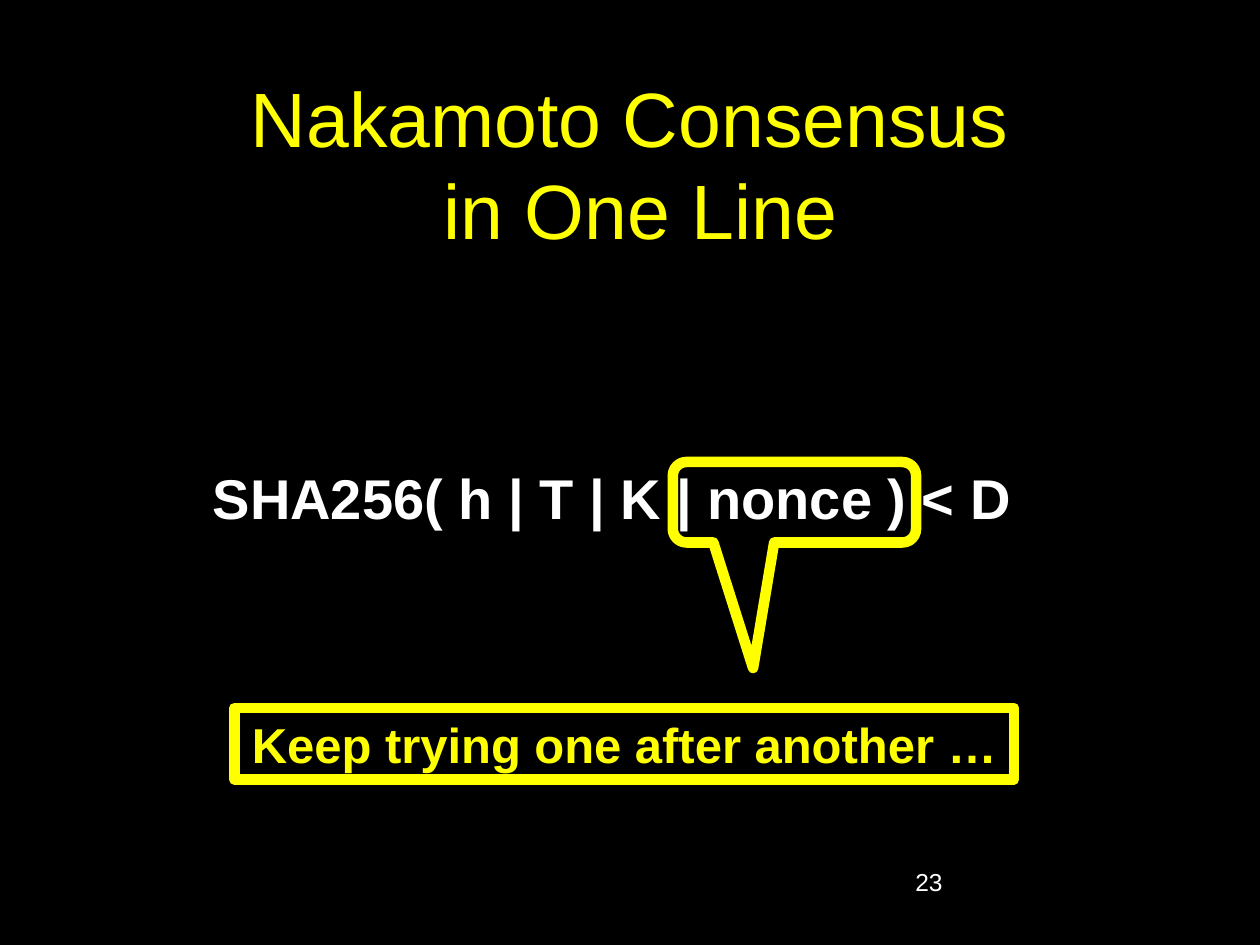
from pptx import Presentation
from pptx import util as u
from pptx.dml.color import RGBColor
from pptx.enum import shapes, text

BLACK = RGBColor(0, 0, 0)
WHITE = RGBColor(255, 255, 255)
YELLOW = RGBColor(255, 255, 0)

LEFT, CENTER = text.PP_ALIGN.LEFT, text.PP_ALIGN.CENTER
TOP, MIDDLE = text.MSO_ANCHOR.TOP, text.MSO_ANCHOR.MIDDLE
FIT, FIXED = text.MSO_AUTO_SIZE.SHAPE_TO_FIT_TEXT, text.MSO_AUTO_SIZE.NONE
BORDER = 6

# Content: wording, place in points, font, frame and alignment
TEXTS = [
    dict(words="Nakamoto Consensus\v in One Line", place=(54, 48, 612, 90),
         font=dict(size=u.Pt(44), bold=False), color=YELLOW, align=CENTER,
         frame=dict(word_wrap=True, auto_size=FIXED, vertical_anchor=MIDDLE)),
    dict(words="23", place=(516, 492, 150, 36),
         font=dict(size=u.Pt(14), bold=False), color=WHITE, align=LEFT,
         frame=dict(word_wrap=True, auto_size=FIXED, vertical_anchor=TOP)),
    dict(words="SHA256( h | T | K | nonce ) < D", place=(114.5, 261.5, 484, 46),
         font=dict(size=u.Pt(32), bold=True), color=WHITE, align=LEFT, fill=BLACK,
         frame=dict(word_wrap=False, auto_size=FIT, vertical_anchor=TOP)),
    dict(words="Keep trying one after another …", place=(134, 404.5, 445.5, 41),
         font=dict(size=u.Pt(28), bold=True), color=YELLOW, align=CENTER, fill=BLACK,
         border=YELLOW,
         frame=dict(word_wrap=False, auto_size=FIT, vertical_anchor=TOP)),
]
CALLOUT_PLACE = (384.5, 264, 139, 46)
CALLOUT_SHAPE = (-0.17, 2.06, 0.17)  # tip x, tip y, corner radius


def points(place):
    return [u.Pt(value) for value in place]


def outline(shape, color):
    shape.line.color.rgb = color
    shape.line.width = u.Pt(BORDER)


def add_text(page, item):
    box = page.shapes.add_textbox(*points(item["place"]))
    for name, value in item["frame"].items():
        setattr(box.text_frame, name, value)
    if "fill" in item:
        box.fill.solid()
        box.fill.fore_color.rgb = item["fill"]
    if "border" in item:
        outline(box, item["border"])
    para = box.text_frame.paragraphs[0]
    para.text = item["words"]
    para.alignment = item["align"]
    for span in para.runs:
        span.font.name = "Arial"
        span.font.color.rgb = item["color"]
        for name, value in item["font"].items():
            setattr(span.font, name, value)


def add_callout(page):
    callout = page.shapes.add_shape(
        shapes.MSO_SHAPE.ROUNDED_RECTANGULAR_CALLOUT, *points(CALLOUT_PLACE))
    for index, value in enumerate(CALLOUT_SHAPE):
        callout.adjustments[index] = value
    callout.shadow.inherit = False
    callout.fill.background()
    outline(callout, YELLOW)


def main():
    deck = Presentation()
    deck.slide_width, deck.slide_height = u.Pt(720), u.Pt(540)
    page = deck.slides.add_slide(deck.slide_layouts[6])
    page.background.fill.solid()
    page.background.fill.fore_color.rgb = BLACK

    # Title, page number and formula, then the callout, then its message
    for item in TEXTS[:-1]:
        add_text(page, item)
    add_callout(page)
    add_text(page, TEXTS[-1])
    deck.save("out.pptx")


if __name__ == "__main__":
    main()
